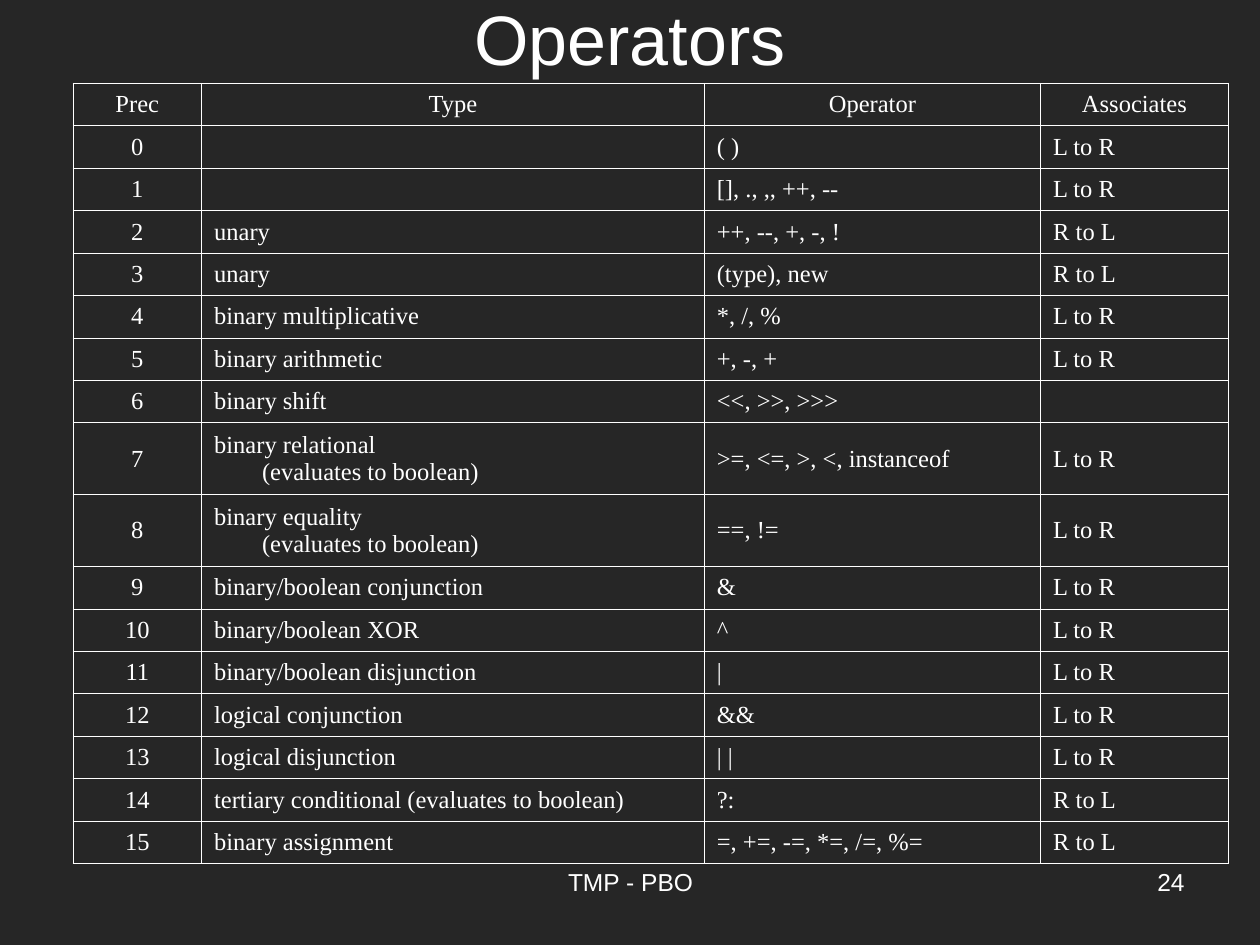
import dataclasses

import lxml.etree
import pptx
import pptx.dml.color
import pptx.enum.text
import pptx.oxml.ns
import pptx.util

ALIGN = pptx.enum.text.PP_ALIGN
ANCHOR = pptx.enum.text.MSO_ANCHOR
Inches = pptx.util.Inches
qn = pptx.oxml.ns.qn


@dataclasses.dataclass(frozen=True)
class Theme:
    background: str = "262626"
    ink: str = "FFFFFF"
    heading_font: str = "Arial"
    table_font: str = "Times New Roman"
    title_size: int = 40
    text_size: int = 14
    border_width: float = 0.45
    hanging: float = 0.38


theme = Theme()


def write(frame, text, size=theme.text_size, font=theme.heading_font,
          align=ALIGN.LEFT, hanging=0):
    """Fill a text frame; a vertical tab in the text is a line break."""
    paragraph = frame.paragraphs[0]
    paragraph.text = text
    paragraph.alignment = align
    for run in paragraph.runs:
        run.font.size = pptx.util.Pt(size)
        run.font.name = font
        run.font.color.rgb = pptx.dml.color.RGBColor.from_string(theme.ink)
    # Breaks and empty paragraphs need the size too, or they widen the line
    for line_break in paragraph._p.findall(qn("a:br")):
        lxml.etree.SubElement(line_break, qn("a:rPr"), sz=str(size * 100))
    if not text:
        lxml.etree.SubElement(paragraph._p, qn("a:endParaRPr"), sz=str(size * 100))
    if hanging:
        properties = paragraph._p.get_or_add_pPr()
        properties.set("marL", str(Inches(hanging)))
        properties.set("indent", str(-Inches(hanging)))


def draw_borders(cell):
    properties = cell._tc.get_or_add_tcPr()
    for side in ("lnL", "lnR", "lnT", "lnB"):
        line = lxml.etree.SubElement(properties, qn("a:" + side),
                                     w=str(pptx.util.Pt(theme.border_width)))
        fill = lxml.etree.SubElement(line, qn("a:solidFill"))
        lxml.etree.SubElement(fill, qn("a:srgbClr"), val=theme.ink)


# Slide and background
deck = pptx.Presentation()
deck.slide_width, deck.slide_height = Inches(10), Inches(7.5)
slide = deck.slides.add_slide(deck.slide_layouts.get_by_name("Title Only"))
slide.background.fill.solid()
slide.background.fill.fore_color.rgb = pptx.dml.color.RGBColor.from_string(theme.background)

# Title
title = slide.shapes.title
title.left, title.top = Inches(0.5), Inches(-0.08)
title.width, title.height = Inches(9), Inches(0.75)
title.text_frame.auto_size = pptx.enum.text.MSO_AUTO_SIZE.NONE
title.text_frame.vertical_anchor = ANCHOR.MIDDLE
write(title.text_frame, "Operators", size=theme.title_size, align=ALIGN.CENTER)

# Footer and page number
for text, left, width, align in (("TMP - PBO", 3.42, 3.17, ALIGN.CENTER),
                                 ("24", 7.17, 2.33, ALIGN.RIGHT)):
    footer = slide.shapes.add_textbox(Inches(left), Inches(6.83), Inches(width), Inches(0.52))
    footer.text_frame.word_wrap = True
    write(footer.text_frame, text, align=align)

# Operators by precedence: type, operators, associativity
header = ("Prec", "Type", "Operator", "Associates")
operators = [
    ("", "( )", "L to R"),
    ("", "[], ., ,, ++, --", "L to R"),
    ("unary", "++, --, +, -, !", "R to L"),
    ("unary", "(type), new", "R to L"),
    ("binary multiplicative", "*, /, %", "L to R"),
    ("binary arithmetic", "+, -, +", "L to R"),
    ("binary shift", "<<, >>, >>>", ""),
    ("binary relational\v(evaluates to boolean)", ">=, <=, >, <, instanceof", "L to R"),
    ("binary equality\v(evaluates to boolean)", "==, !=", "L to R"),
    ("binary/boolean conjunction", "&", "L to R"),
    ("binary/boolean XOR", "^", "L to R"),
    ("binary/boolean disjunction", "|", "L to R"),
    ("logical conjunction", "&&", "L to R"),
    ("logical disjunction", "| |", "L to R"),
    ("tertiary conditional (evaluates to boolean)", "?:", "R to L"),
    ("binary assignment", "=, +=, -=, *=, /=, %=", "R to L"),
]
rows = [header] + [(str(level), *entry) for level, entry in enumerate(operators)]

# Table grid: two-line rows are fixed, the others share the remaining height
column_widths = (1.02, 3.99, 2.67, 1.49)
table_height, tall_row = 6.2, 0.57
tall_count = sum("\v" in row[1] for row in rows)
plain_row = (table_height - tall_count * tall_row) / (len(rows) - tall_count)

precedence = slide.shapes.add_table(
    len(rows), len(header), Inches(0.58), Inches(0.66),
    Inches(sum(column_widths)), Inches(table_height)).table
precedence.first_row = precedence.horz_banding = False
for column, width in zip(precedence.columns, column_widths):
    column.width = Inches(width)

# Table cells
for row_index, row in enumerate(rows):
    precedence.rows[row_index].height = Inches(tall_row if "\v" in row[1] else plain_row)
    for column_index, text in enumerate(row):
        cell = precedence.cell(row_index, column_index)
        centred = row_index == 0 or column_index == 0
        write(cell.text_frame, text, font=theme.table_font,
              align=ALIGN.CENTER if centred else ALIGN.LEFT, hanging=theme.hanging)
        cell.vertical_anchor = ANCHOR.MIDDLE
        draw_borders(cell)
        cell.fill.background()

deck.save("out.pptx")
